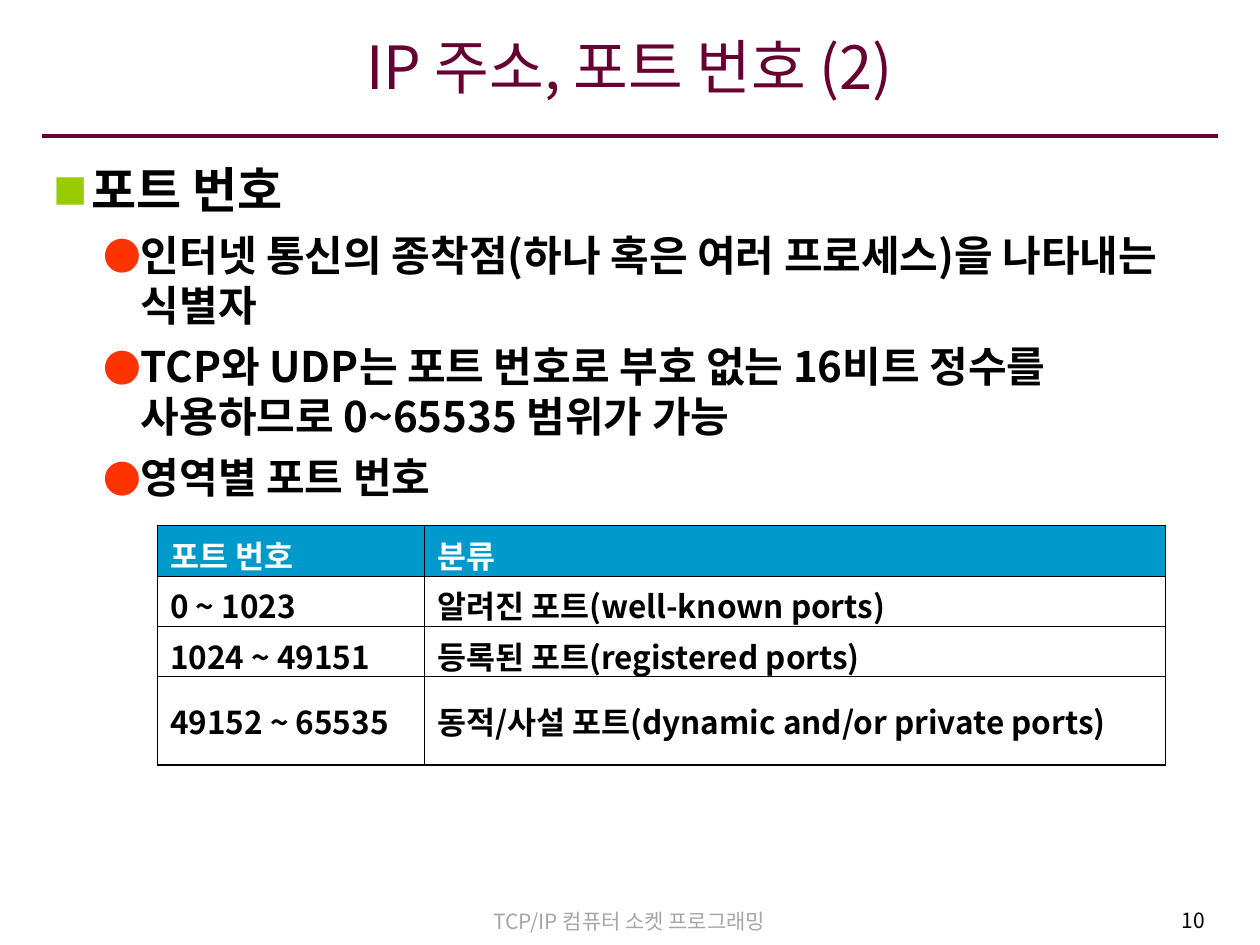
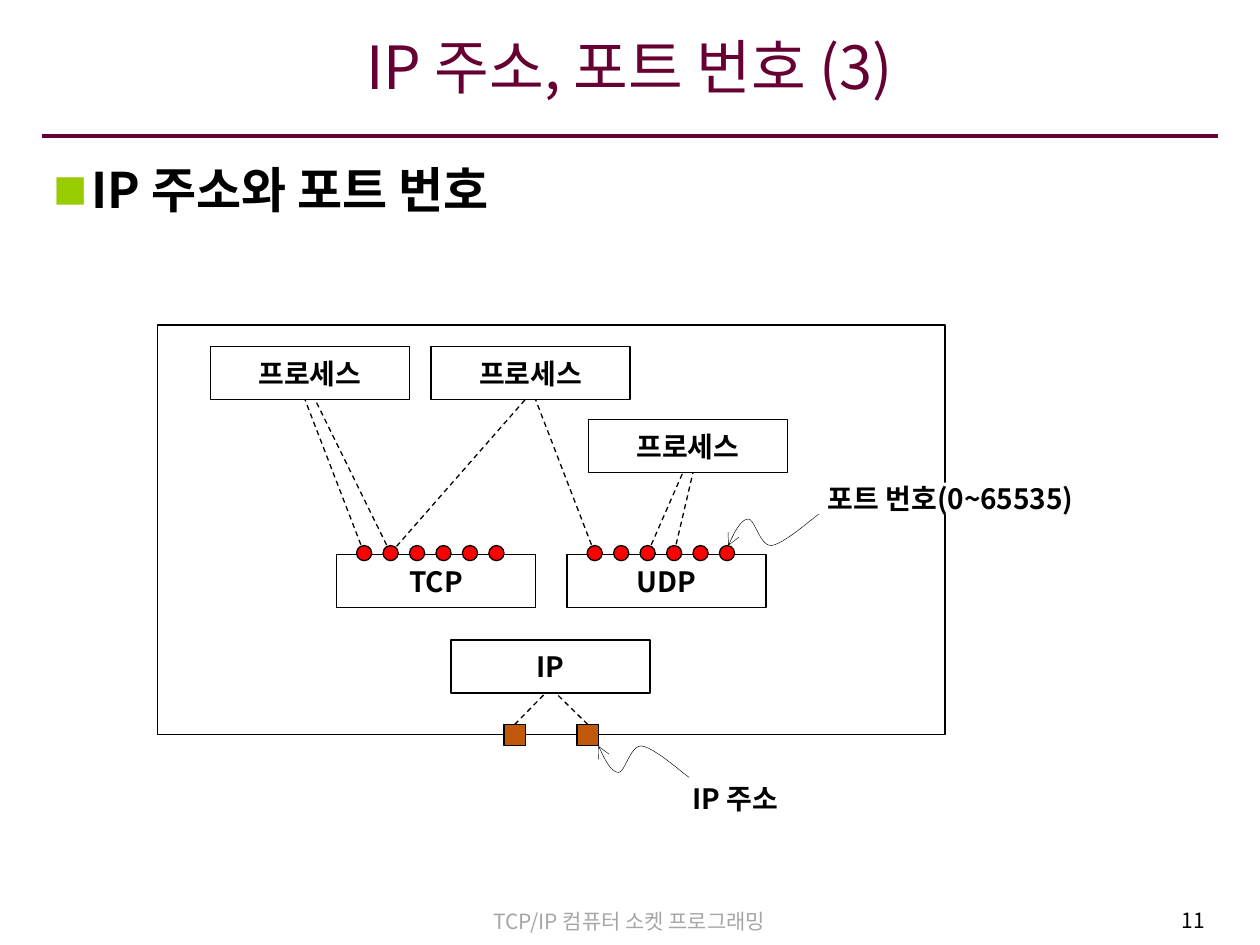
"""Builds two lecture slides on IP addresses and port numbers."""
from lxml import etree
from pptx import Presentation
from pptx.dml.color import RGBColor
from pptx.enum.dml import MSO_LINE
from pptx.enum.shapes import MSO_CONNECTOR, MSO_SHAPE
from pptx.enum.text import MSO_ANCHOR, PP_ALIGN
from pptx.oxml.ns import qn
from pptx.util import Inches, Pt

STRAIGHT = MSO_CONNECTOR.STRAIGHT
RECTANGLE, OVAL = MSO_SHAPE.RECTANGLE, MSO_SHAPE.OVAL
LEFT, CENTER, RIGHT = PP_ALIGN.LEFT, PP_ALIGN.CENTER, PP_ALIGN.RIGHT
TOP, MIDDLE = MSO_ANCHOR.TOP, MSO_ANCHOR.MIDDLE
DASH = MSO_LINE.DASH

BLACK = RGBColor(0x00, 0x00, 0x00)
WHITE = RGBColor(0xFF, 0xFF, 0xFF)
PLUM = RGBColor(0x66, 0x00, 0x33)
GRAY = RGBColor(0xA6, 0xA6, 0xA6)
BLUE = RGBColor(0x00, 0x99, 0xCC)
GREEN = RGBColor(0x99, 0xCC, 0x00)
ORANGE = RGBColor(0xFF, 0x33, 0x00)
RED = RGBColor(0xFF, 0x00, 0x00)
BROWN = RGBColor(0xC0, 0x59, 0x0C)

FONT = "Noto Sans CJK KR"
FOOTER = "TCP/IP 컴퓨터 소켓 프로그래밍"
OUTER_BORDER, INNER_BORDER = 1.08, 0.45
BULLETS = [
    dict(mark="■", color=GREEN, percent=70, indent=0.3, before=7, size=28),
    dict(mark="●", color=ORANGE, percent=90, indent=0.69, before=6, size=24),
]
HANGING = 0.3

BOX_WIDTH, BOX_HEIGHT = 1.58, 0.42
DOT, DOT_PITCH, DOT_TOP = 0.12, 0.21, 4.33
CARD = 0.17
LINE_SPREAD = 0.04
SQUIGGLE = [
    [(0, 0), (0.05, 0.11), (0.1, 0.21), (0.16, 0.21)],
    [(0.16, 0.21), (0.21, 0.21), (0.25, 0), (0.34, 0)],
    [(0.34, 0), (0.44, 0.01), (0.66, 0.21), (0.72, 0.25)],
]
CURVE_STEPS = 12


def bezier(points, t):
    """Return the point at t on a cubic curve."""
    weights = ((1 - t) ** 3, 3 * t * (1 - t) ** 2, 3 * t ** 2 * (1 - t), t ** 3)
    return tuple(sum(w * p[axis] for w, p in zip(weights, points)) for axis in (0, 1))


class Deck:
    """Holds the shared style and the current slide."""

    def __init__(self):
        self.presentation = Presentation()
        self.presentation.slide_width = Inches(10)
        self.presentation.slide_height = Inches(7.5)
        self.slide = None

    def new_slide(self, title, number):
        """Add a slide with its title, rule and footer."""
        self.slide = self.presentation.slides.add_slide(self.presentation.slide_layouts[6])
        self.line((0.33, 1.08), (9.67, 1.08), PLUM, 2.25)
        self.text(FOOTER, 2.87, 7.16, 4.25, 0.3, 12, GRAY)
        self.text(str(number), 7.54, 7.15, 2.12, 0.33, 12, BLACK, align=RIGHT)
        heading = self.text(title, 0.33, 0.15, 9.33, 0.85, 34, PLUM, anchor=MIDDLE)
        heading.margin_left = heading.margin_right = Inches(0.08)
        heading.margin_bottom = Inches(0.16)

    def style(self, paragraph, size, color, bold=False, align=LEFT):
        """Format a paragraph and its runs."""
        paragraph.alignment = align
        for run in paragraph.runs:
            run.font.size, run.font.bold, run.font.name = Pt(size), bold, FONT
            run.font.color.rgb = color
            etree.SubElement(run.font._element, qn("a:ea"), typeface=FONT)

    def text(self, content, left, top, width, height, size, color,
             bold=False, align=CENTER, anchor=TOP, wrap=True):
        """Add a text box and return its frame."""
        box = self.slide.shapes.add_textbox(*map(Inches, (left, top, width, height)))
        return self.fill_text(box, content, size, color, bold, align, anchor, wrap)

    def fill_text(self, shape, content, size, color, bold, align, anchor, wrap):
        """Put one paragraph into a shape."""
        frame = shape.text_frame
        frame.text = content
        frame.word_wrap, frame.vertical_anchor = wrap, anchor
        self.style(frame.paragraphs[0], size, color, bold, align)
        return frame

    def bullets(self, items):
        """Add the body outline from pairs of level and text."""
        box = self.slide.shapes.add_textbox(*map(Inches, (0.33, 1.22, 9.33, 5.86)))
        frame = box.text_frame
        frame.word_wrap = True
        frame.text = "\n".join(content for _, content in items)
        for paragraph, (level, _) in zip(frame.paragraphs, items):
            look = BULLETS[level]
            paragraph.level = level
            paragraph.space_before = Pt(look["before"])
            self.style(paragraph, look["size"], BLACK, bold=True)
            properties = paragraph._p.get_or_add_pPr()
            properties.set("marL", str(Inches(look["indent"])))
            properties.set("indent", str(-Inches(HANGING)))
            color = etree.SubElement(properties, qn("a:buClr"))
            etree.SubElement(color, qn("a:srgbClr"), val=str(look["color"]))
            etree.SubElement(properties, qn("a:buSzPct"), val=str(look["percent"] * 1000))
            etree.SubElement(properties, qn("a:buFont"), typeface=FONT)
            etree.SubElement(properties, qn("a:buChar"), char=look["mark"])

    def table(self, rows, left, top, widths, heights):
        """Add a table with a coloured header and a heavier outer border."""
        frame = self.slide.shapes.add_table(
            len(rows), len(widths),
            *map(Inches, (left, top, sum(widths), sum(heights))))
        grid = frame.table
        grid.first_row = grid.horz_banding = False
        for column, width in zip(grid.columns, widths):
            column.width = Inches(width)
        for r, (values, height) in enumerate(zip(rows, heights)):
            grid.rows[r].height = Inches(height)
            for c, value in enumerate(values):
                cell = grid.cell(r, c)
                cell.text = value
                cell.vertical_anchor = MIDDLE
                paragraph = cell.text_frame.paragraphs[0]
                paragraph.space_before = Pt(4.5)
                self.style(paragraph, 18, BLACK if r else WHITE, bold=True)
                self.borders(cell, L=c == 0, R=c == len(widths) - 1,
                             T=r == 0, B=r == len(rows) - 1)
                if r:
                    cell.fill.background()
                else:
                    cell.fill.solid()
                    cell.fill.fore_color.rgb = BLUE

    def borders(self, cell, **outer_sides):
        """Draw the four sides of a cell."""
        properties = cell._tc.get_or_add_tcPr()
        for side, outer in outer_sides.items():
            width = Pt(OUTER_BORDER if outer else INNER_BORDER)
            border = etree.SubElement(properties, qn(f"a:ln{side}"), w=str(width))
            fill = etree.SubElement(border, qn("a:solidFill"))
            etree.SubElement(fill, qn("a:srgbClr"), val=str(BLACK))

    def line(self, start, end, color=BLACK, width=0.75, dash=None, source=None):
        """Add a straight line, joined to the top of source if given."""
        link = self.slide.shapes.add_connector(STRAIGHT, *map(Inches, (*start, *end)))
        link.line.color.rgb, link.line.width = color, Pt(width)
        link.line.dash_style = dash
        etree.SubElement(link._element.spPr, qn("a:effectLst"))
        if source is not None:
            link.begin_connect(source, 0)

    def shape(self, kind, left, top, width, height, fill=None, outline=True, label=None):
        """Add a preset shape with an optional label."""
        shape = self.slide.shapes.add_shape(kind, *map(Inches, (left, top, width, height)))
        shape.shadow.inherit = False
        if fill is None:
            shape.fill.background()
        else:
            shape.fill.solid()
            shape.fill.fore_color.rgb = fill
        if outline:
            shape.line.color.rgb, shape.line.width = BLACK, Pt(0.75)
        else:
            shape.line.fill.background()
        if label:
            self.fill_text(shape, label, 16, BLACK, True, CENTER, MIDDLE, False)
        return shape

    def squiggle(self, left, top, direction):
        """Add a wavy arrow whose head is at the given point."""
        points = [bezier(curve, step / CURVE_STEPS)
                  for curve in SQUIGGLE for step in range(1, CURVE_STEPS + 1)]
        builder = self.slide.shapes.build_freeform(Inches(left), Inches(top))
        builder.add_line_segments(
            [(Inches(left + x), Inches(top + direction * y)) for x, y in points],
            close=False)
        wave = builder.convert_to_shape()
        wave.shadow.inherit = False
        wave.fill.background()
        wave.line.color.rgb, wave.line.width = BLACK, Pt(0.25)
        etree.SubElement(wave.line._get_or_add_ln(), qn("a:headEnd"), type="arrow")


def build_port_numbers(deck):
    """Build the slide that lists port number ranges."""
    deck.new_slide("IP 주소, 포트 번호 (2)", 10)
    deck.bullets([
        (0, "포트 번호"),
        (1, "인터넷 통신의 종착점(하나 혹은 여러 프로세스)을 나타내는 식별자"),
        (1, "TCP와 UDP는 포트 번호로 부호 없는 16비트 정수를 사용하므로 0~65535 범위가 가능"),
        (1, "영역별 포트 번호"),
    ])
    deck.table([
        ("포트 번호", "분류"),
        ("0 ~ 1023", "알려진 포트(well-known ports)"),
        ("1024 ~ 49151", "등록된 포트(registered ports)"),
        ("49152 ~ 65535", "동적/사설 포트(dynamic and/or private ports)"),
    ], 1.25, 4.17, [2.12, 5.88], [0.4, 0.4, 0.4, 0.7])


def build_host_diagram(deck):
    """Build the slide that relates processes, ports and addresses."""
    deck.new_slide("IP 주소, 포트 번호 (3)", 11)
    deck.bullets([(0, "IP 주소와 포트 번호")])
    deck.shape(RECTANGLE, 1.25, 2.58, 6.25, 3.25)

    processes = [(1.67, 2.75), (3.42, 2.75), (4.67, 3.33)]
    protocols = {"TCP": (2.67, 4.4), "UDP": (4.5, 4.4)}
    ip = (3.58, 5.08)
    boxes = [("프로세스", spot) for spot in processes] + [*protocols.items(), ("IP", ip)]
    for label, (left, top) in boxes:
        deck.shape(RECTANGLE, left, top, BOX_WIDTH, BOX_HEIGHT, label=label)

    def below(box, side):
        """Return a point just beside the middle of a box's bottom."""
        return box[0] + BOX_WIDTH / 2 + side * LINE_SPREAD, box[1] + BOX_HEIGHT

    ports = {name: [left + 0.16 + i * DOT_PITCH for i in range(6)]
             for name, (left, _) in protocols.items()}
    sockets = [(0, -1, "TCP", 0), (0, 1, "TCP", 1), (1, -1, "TCP", 1),
               (1, 1, "UDP", 0), (2, -1, "UDP", 2), (2, 1, "UDP", 3)]
    for process, side, protocol, port in sockets:
        start = (ports[protocol][port] + DOT / 2, DOT_TOP + DOT / 2)
        deck.line(start, below(processes[process], side), dash=DASH)
    for left in ports["TCP"] + ports["UDP"]:
        deck.shape(OVAL, left, DOT_TOP, DOT, DOT, fill=RED)

    for left, side in ((4, -1), (4.58, 1)):
        card = deck.shape(RECTANGLE, left, 5.75, CARD, CARD, fill=BROWN)
        deck.line((left + CARD / 2, 5.75), below(ip, side), dash=DASH, source=card)

    deck.squiggle(5.78, 4.33, -1)
    deck.shape(RECTANGLE, 6.42, 3.83, 2.25, 0.25, WHITE, False, "포트 번호(0~65535)")
    deck.squiggle(4.75, 5.92, 1)
    deck.shape(RECTANGLE, 5.25, 6.25, 1.17, 0.17, outline=False, label="IP 주소")


def main():
    """Build and save the presentation."""
    deck = Deck()
    build_port_numbers(deck)
    build_host_diagram(deck)
    deck.presentation.save("out.pptx")


if __name__ == "__main__":
    main()
